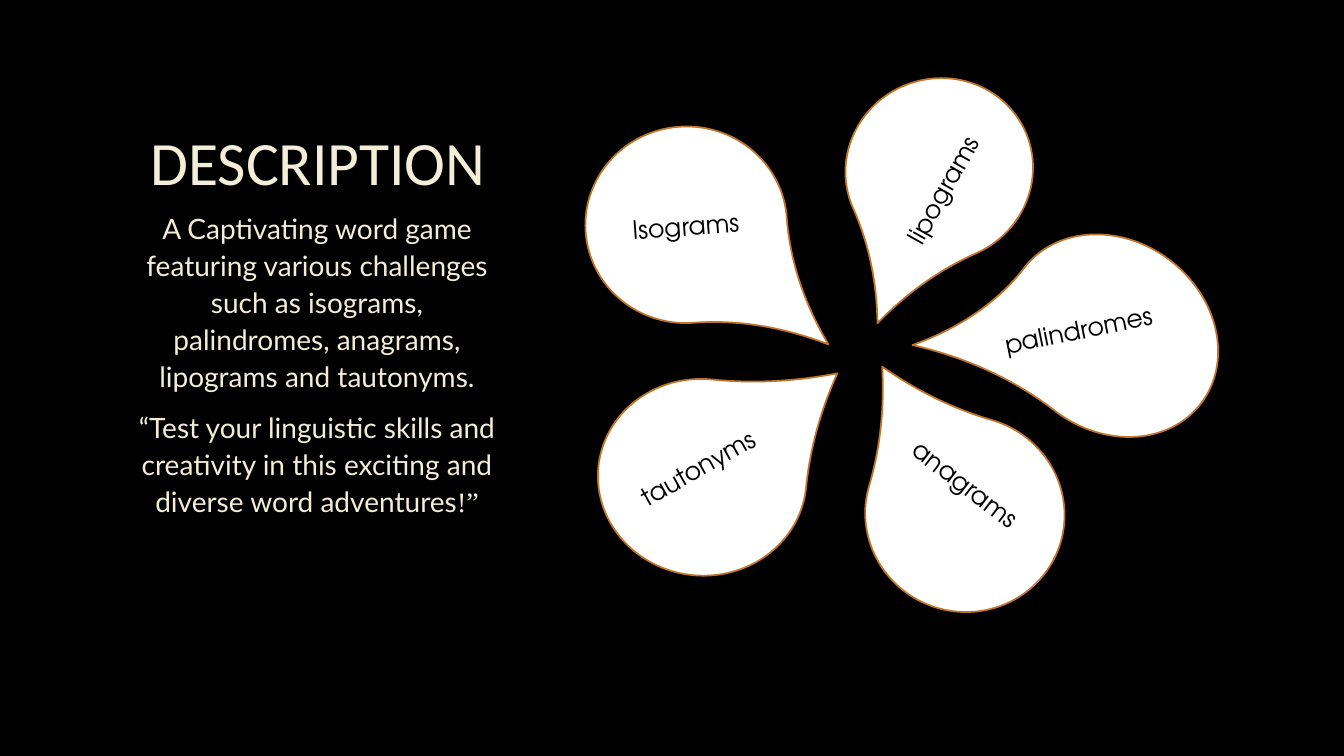
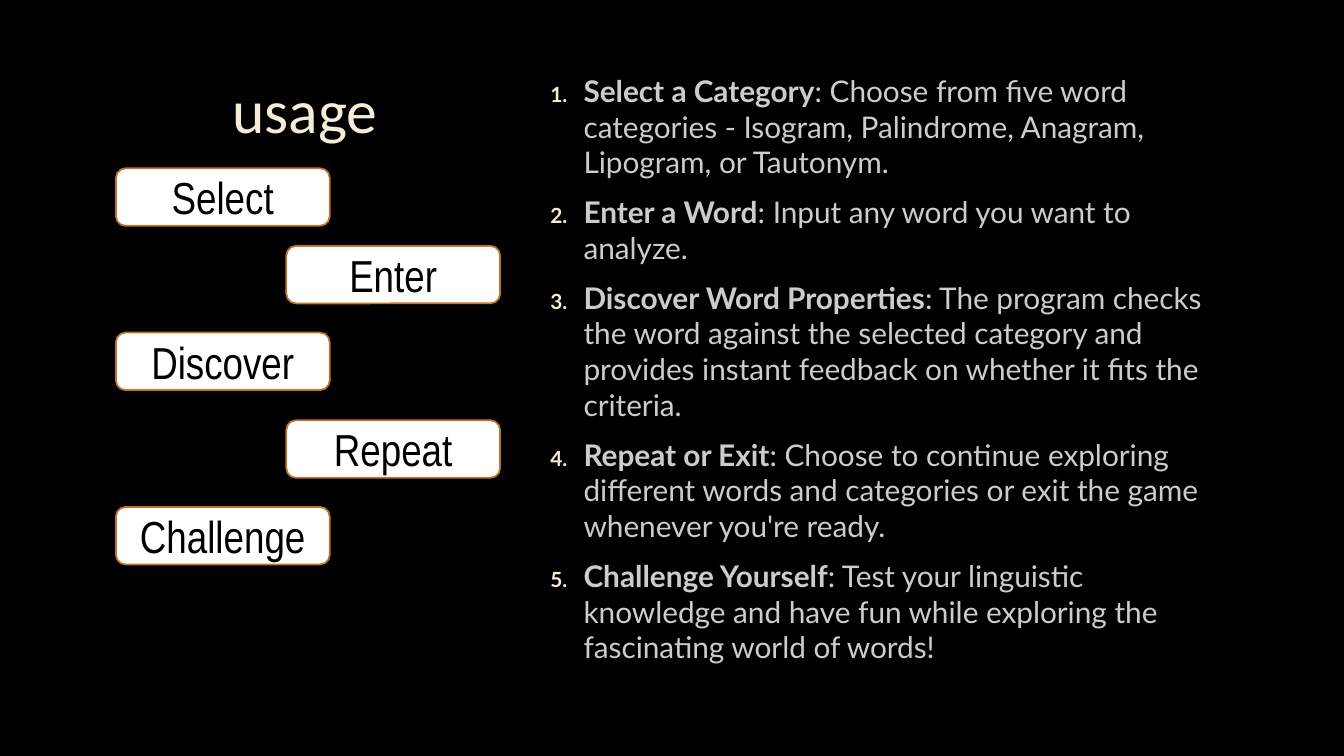
from dataclasses import dataclass

from lxml.etree import SubElement
from pptx import Presentation
from pptx.dml.color import RGBColor
from pptx.enum.shapes import MSO_SHAPE
from pptx.enum.text import MSO_ANCHOR, MSO_AUTO_SIZE, PP_ALIGN
from pptx.oxml.ns import qn
from pptx.presentation import Presentation as Deck
from pptx.shapes.autoshape import Shape
from pptx.slide import Slide
from pptx.text.text import TextFrame, _Paragraph as Paragraph
from pptx.util import Inches, Pt


@dataclass(frozen=True)
class Font:
    name: str
    size: float
    color: RGBColor


@dataclass(frozen=True)
class Theme:
    background: RGBColor = RGBColor(0x00, 0x00, 0x00)
    cream: RGBColor = RGBColor(0xF4, 0xED, 0xD8)
    fill: RGBColor = RGBColor(0xFF, 0xFF, 0xFF)
    outline: RGBColor = RGBColor(0xC1, 0x75, 0x29)
    outline_width: float = 1.25
    title: Font = Font("Calibri", 44, cream)
    summary: Font = Font("Lato", 20, cream)
    closing_mark: Font = Font("Times New Roman", 20, cream)
    instruction: Font = Font("Lato", 21.3, RGBColor(0xCC, 0xCC, 0xCC))
    petal: Font = Font("TeX Gyre Adventor", 18, background)
    step: Font = Font("Arial Narrow", 32, background)


THEME = Theme()


@dataclass(frozen=True)
class Area:
    left: float
    top: float
    width: float
    height: float

    def lengths(self) -> tuple[Inches, Inches, Inches, Inches]:
        return (Inches(self.left), Inches(self.top),
                Inches(self.width), Inches(self.height))


@dataclass(frozen=True)
class Petal:
    area: Area
    rotation: float
    point: float
    label: str
    label_center: tuple[float, float]
    label_rotation: float


@dataclass(frozen=True)
class Step:
    label: str
    top: float
    heading: str
    detail: str


PETALS = (
    Petal(Area(5.83, 1.23, 1.95, 2), 85.8, 1.32, "Isograms", (6.8, 2.24), 355.8),
    Petal(Area(8.38, 0.78, 1.87, 1.81), 156, 1.26, "lipograms", (9.35, 1.88), 299.4),
    Petal(Area(5.93, 3.76, 2.07, 1.95), 5.7, 1.19, "tautonyms", (6.92, 4.64), 330.7),
    Petal(Area(9.93, 2.39, 2.21, 1.88), 217.7, 1.37, "palindromes", (10.7, 3.27), 348.6),
    Petal(Area(8.6, 4.11, 1.94, 1.98), 286.3, 1.21, "anagrams", (9.58, 4.8), 37.5),
)
LABEL_WIDTH, LABEL_HEIGHT = 2, 0.4

STEPS = (
    Step("Select", 1.67, "Select a Category",
         ": Choose from five word categories - Isogram, Palindrome, Anagram, "
         "Lipogram, or Tautonym."),
    Step("Enter", 2.44, "Enter a Word", ": Input any word you want to analyze."),
    Step("Discover", 3.3, "Discover Word Properties",
         ": The program checks the word against the selected category and provides "
         "instant feedback on whether it fits the criteria."),
    Step("Repeat", 4.17, "Repeat or Exit",
         ": Choose to continue exploring different words and categories or exit "
         "the game whenever you're ready."),
    Step("Challenge", 5.03, "Challenge Yourself",
         ": Test your linguistic knowledge and have fun while exploring the "
         "fascinating world of words!"),
)
STEP_LEFTS = (1.15, 2.84)
STEP_WIDTH, STEP_HEIGHT = 2.12, 0.57


def add_run(para: Paragraph, text: str, font: Font, bold: bool = False) -> None:
    span = para.add_run()
    span.text = text
    span.font.name = font.name
    span.font.size = Pt(font.size)
    span.font.color.rgb = font.color
    span.font.bold = bold


def next_paragraph(frame: TextFrame, index: int) -> Paragraph:
    """Return the frame's first paragraph for index 0, else a new one, spaced as body text."""
    para = frame.paragraphs[0] if index == 0 else frame.add_paragraph()
    para.space_before = Pt(4)
    para.space_after = Pt(6)
    return para


def number_paragraph(para: Paragraph) -> None:
    properties = para._p.get_or_add_pPr()
    properties.set("marL", str(Inches(0.38)))
    properties.set("indent", str(Inches(-0.33)))
    color = SubElement(properties, qn("a:buClr"))
    SubElement(color, qn("a:srgbClr"), val=str(THEME.cream))
    SubElement(properties, qn("a:buSzPct"), val="70000")
    SubElement(properties, qn("a:buAutoNum"), type="arabicPeriod")


def add_titled_slide(deck: Deck, title: str, area: Area) -> Slide:
    slide = deck.slides.add_slide(deck.slide_layouts.get_by_name("Title Only"))
    box = slide.shapes.title
    box.left, box.top, box.width, box.height = area.lengths()
    frame = box.text_frame
    frame.auto_size = MSO_AUTO_SIZE.NONE
    frame.vertical_anchor = MSO_ANCHOR.BOTTOM
    para = frame.paragraphs[0]
    para.alignment = PP_ALIGN.CENTER
    para.line_spacing = 0.9
    add_run(para, title, THEME.title)
    return slide


def add_text_frame(slide: Slide, area: Area) -> TextFrame:
    frame = slide.shapes.add_textbox(*area.lengths()).text_frame
    frame.word_wrap = True
    return frame


def add_outlined_shape(slide: Slide, kind: MSO_SHAPE, area: Area) -> Shape:
    shape = slide.shapes.add_shape(kind, *area.lengths())
    shape.shadow.inherit = False
    shape.fill.solid()
    shape.fill.fore_color.rgb = THEME.fill
    shape.line.color.rgb = THEME.outline
    shape.line.width = Pt(THEME.outline_width)
    return shape


def center_label(shape: Shape, text: str, font: Font) -> None:
    frame = shape.text_frame
    frame.vertical_anchor = MSO_ANCHOR.MIDDLE
    para = frame.paragraphs[0]
    para.alignment = PP_ALIGN.CENTER
    add_run(para, text, font)


def add_petal(slide: Slide, petal: Petal) -> None:
    drop = add_outlined_shape(slide, MSO_SHAPE.TEAR, petal.area)
    drop.adjustments[0] = petal.point
    drop.rotation = petal.rotation
    center_x, center_y = petal.label_center
    area = Area(center_x - LABEL_WIDTH / 2, center_y - LABEL_HEIGHT / 2,
                LABEL_WIDTH, LABEL_HEIGHT)
    box = slide.shapes.add_textbox(*area.lengths())
    box.text_frame.word_wrap = True
    box.rotation = petal.label_rotation
    center_label(box, petal.label, THEME.petal)


def build_description(deck: Deck) -> None:
    slide = add_titled_slide(deck, "DESCRIPTION", Area(1.13, 1.13, 4.05, 0.89))
    frame = add_text_frame(slide, Area(1.23, 2.02, 3.83, 4.2))
    summary = (
        "A Captivating word game featuring various challenges such as isograms, "
        "palindromes, anagrams, lipograms and tautonyms.",
        "“Test your linguistic skills and creativity in this exciting and "
        "diverse word adventures",
    )
    for index, text in enumerate(summary):
        para = next_paragraph(frame, index)
        para.alignment = PP_ALIGN.CENTER
        para.line_spacing = 1.1
        add_run(para, text, THEME.summary)
    add_run(para, "!”", THEME.closing_mark)
    for petal in PETALS:
        add_petal(slide, petal)


def build_usage(deck: Deck) -> None:
    slide = add_titled_slide(deck, "usage", Area(1, 0.67, 4.05, 0.84))
    frame = add_text_frame(slide, Area(5.31, 0.67, 7.01, 5.56))
    for index, step in enumerate(STEPS):
        para = next_paragraph(frame, index)
        number_paragraph(para)
        add_run(para, step.heading, THEME.instruction, bold=True)
        add_run(para, step.detail, THEME.instruction)
        area = Area(STEP_LEFTS[index % 2], step.top, STEP_WIDTH, STEP_HEIGHT)
        button = add_outlined_shape(slide, MSO_SHAPE.FLOWCHART_ALTERNATE_PROCESS, area)
        center_label(button, step.label, THEME.step)


def main() -> None:
    deck = Presentation()
    deck.slide_width, deck.slide_height = Inches(13.33), Inches(7.5)
    backdrop = deck.slide_master.background.fill
    backdrop.solid()
    backdrop.fore_color.rgb = THEME.background
    build_description(deck)
    build_usage(deck)
    deck.save("out.pptx")


if __name__ == "__main__":
    main()
